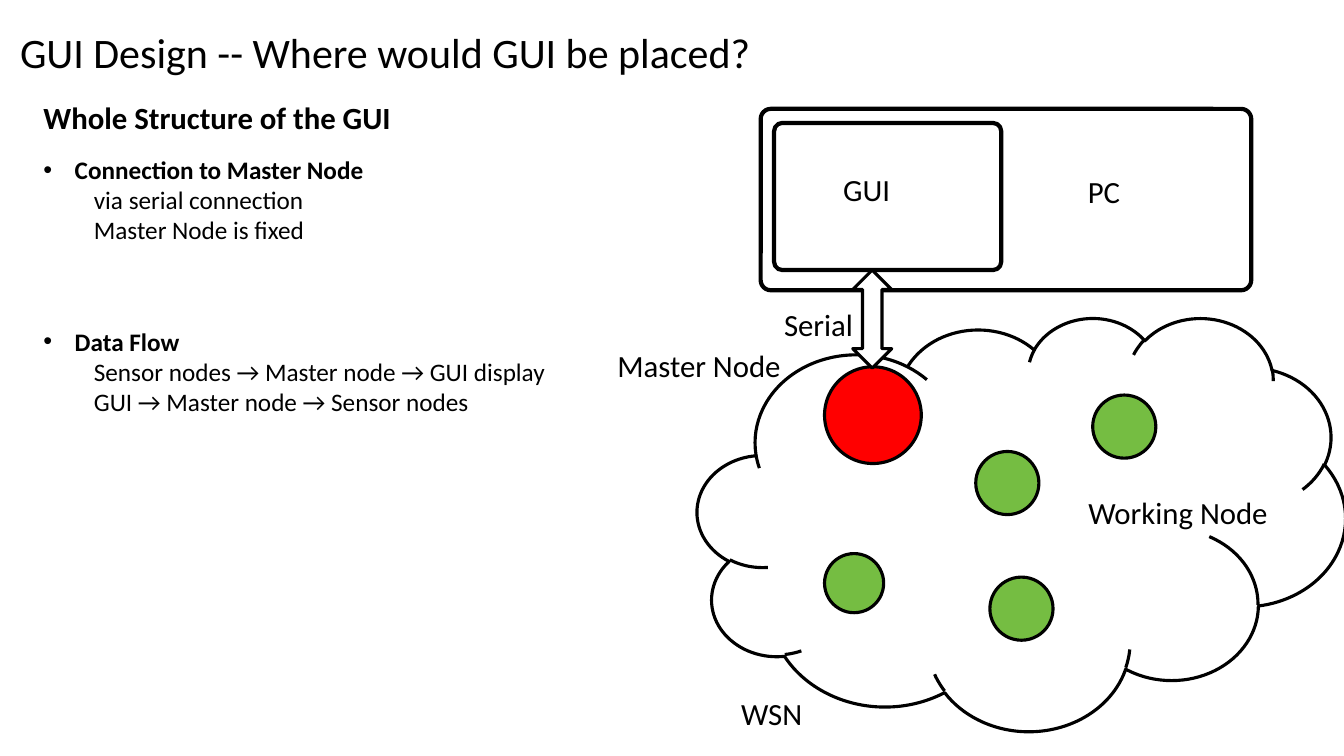
from lxml import etree
from pptx import Presentation
from pptx.dml.color import RGBColor
from pptx.enum.shapes import MSO_SHAPE
from pptx.oxml.ns import qn
from pptx.util import Inches, Pt

ELLIPSE = MSO_SHAPE.OVAL
ROUNDED = MSO_SHAPE.ROUNDED_RECTANGLE
CLOUD = MSO_SHAPE.CLOUD
DOUBLE_ARROW = MSO_SHAPE.UP_DOWN_ARROW

FONT = "Calibri"
BLACK, WHITE, RED, GREEN = "000000", "FFFFFF", "FF0000", "75BD42"
WIDTH, HEIGHT = 13.33, 7.5
UNIT = Inches(WIDTH) / 100  # square grid, 100 columns across the slide


def color(value):
    return RGBColor.from_string(value)


def grid(*lengths):
    return [round(length * UNIT) for length in lengths]


def format_paragraph(paragraph, size, bold=False):
    for run in paragraph.runs:
        run.font.name = FONT
        run.font.size = Pt(size)
        run.font.bold = bold
        run.font.color.rgb = color(BLACK)


def add_label(slide, text, left, top, width=15.6, height=4, size=22):
    frame = slide.shapes.add_textbox(*grid(left, top, width, height)).text_frame
    frame.word_wrap = True
    frame.text = text
    format_paragraph(frame.paragraphs[0], size)
    return frame


def add_outlined(slide, kind, box, fill=None, line=2.25):
    shape = slide.shapes.add_shape(kind, *grid(*box))
    shape.shadow.inherit = False
    if fill:
        shape.fill.solid()
        shape.fill.fore_color.rgb = color(fill)
    else:
        shape.fill.background()
    shape.line.color.rgb = color(BLACK)
    shape.line.width = Pt(line)
    return shape


def indent(paragraph, margin, first_line, bullet=None):
    properties = paragraph._p.get_or_add_pPr()
    properties.set("marL", str(Inches(margin)))
    properties.set("indent", str(Inches(first_line)))
    if bullet:
        etree.SubElement(properties, qn("a:buFont"), typeface="Arial")
        etree.SubElement(properties, qn("a:buChar"), char=bullet)


def build_outline(slide, box, heading, topics):
    frame = add_label(slide, heading, *box)
    first = frame.paragraphs[0]
    format_paragraph(first, 22, bold=True)
    first.space_after = Pt(13)
    for number, (topic, details) in enumerate(topics):
        paragraph = frame.add_paragraph()
        paragraph.text = topic
        if number:
            paragraph.space_before = Pt(58)
        indent(paragraph, 0.31, -0.31, "•")
        format_paragraph(paragraph, 18, bold=True)
        for detail in details:
            paragraph = frame.add_paragraph()
            paragraph.text = detail
            indent(paragraph, 0, 0.5)
            format_paragraph(paragraph, 18)


def build_computer(slide, box):
    left, top, width, height = box
    gui = (left + 1, top + 1.05, 16.9, 10.95)
    for frame_box in (box, gui):
        frame = add_outlined(slide, ROUNDED, frame_box, line=3)
        frame.adjustments[0] = 0.056
    add_label(slide, "GUI", left + 5.4, top + 4.2, 7)
    add_label(slide, "PC", left + 23.6, top + 4.4, 7)


def build_network(slide, box):
    left, top, width, height = box
    add_outlined(slide, CLOUD, box)
    # Master node first, then the working nodes: x, y, diameter
    nodes = [
        (9.45, 3.7, 7.2, RED),
        (20.7, 10, 4.7, GREEN),
        (29.4, 5.8, 4.7, GREEN),
        (9.45, 17.6, 4.4, GREEN),
        (21.75, 19.35, 4.7, GREEN),
    ]
    for x, y, diameter, fill in nodes:
        add_outlined(slide, ELLIPSE, (left + x, top + y, diameter, diameter), fill)
    labels = [
        ("Master Node", -6.7, 1.8),
        ("Working Node", 28.35, 12.75),
        ("WSN", 2.5, 27.75),
    ]
    for text, x, y in labels:
        add_label(slide, text, left + x, top + y)


def build_serial_link(slide, box):
    left, top, width, height = box
    add_label(slide, "Serial", left - 5.85, top + 2.25, 7)
    add_outlined(slide, DOUBLE_ARROW, box, WHITE)


def main():
    deck = Presentation()
    deck.slide_width, deck.slide_height = Inches(WIDTH), Inches(HEIGHT)
    slide = deck.slides.add_slide(deck.slide_layouts[6])

    # Title and outline
    add_label(slide, "GUI Design -- Where would GUI be placed?", 0.75, 1.6, 56, 4.5, size=30)
    build_outline(slide, (2.5, 7, 39.2, 47.4), "Whole Structure of the GUI", [
        ("Connection to Master Node", ["via serial connection", "Master Node is fixed"]),
        ("Data Flow", ["Sensor nodes → Master node → GUI display",
                       "GUI → Master node → Sensor nodes"]),
    ])

    # Diagram
    build_computer(slide, (56.6, 8.1, 36.5, 13.5))
    build_network(slide, (51.9, 23.6, 48.2, 30.75))
    build_serial_link(slide, (63.45, 20.1, 2.9, 7.3))

    deck.save("out.pptx")


if __name__ == "__main__":
    main()
